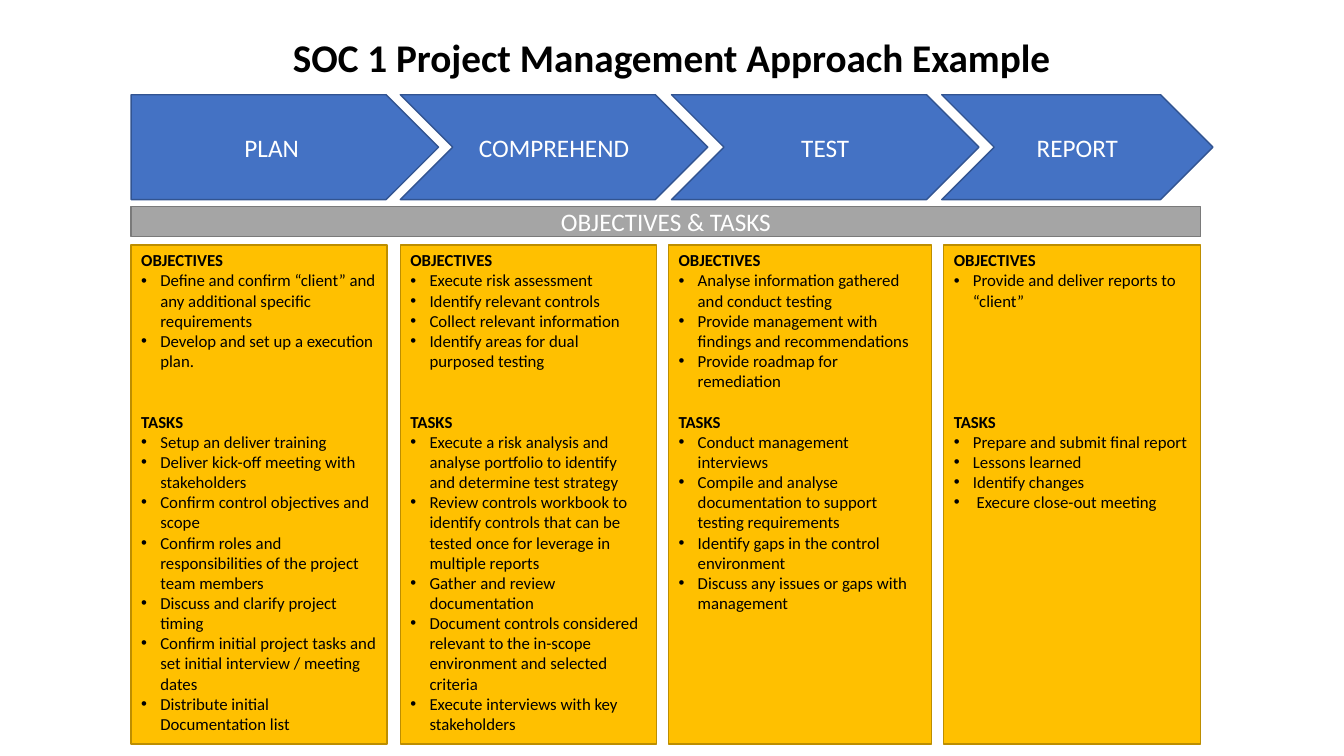
"""Build the SOC 1 project management approach slide."""
from dataclasses import dataclass

from lxml.etree import SubElement
from pptx import Presentation
from pptx.dml.color import RGBColor
from pptx.enum.shapes import MSO_SHAPE
from pptx.enum.text import MSO_ANCHOR, MSO_AUTO_SIZE, PP_ALIGN
from pptx.oxml.ns import qn
from pptx.util import Inches, Pt

COLORS = {
    "blue": "4472C4", "blue_line": "325491",
    "gray": "A5A5A5", "gray_line": "7A7A7A",
    "gold": "FFC000", "gold_line": "BD8E00",
    "white": "FFFFFF", "black": "000000",
}
FONT = "Calibri"
LINE_PT = 14.4
INDENT = 0.19
ARROW_TOP, ARROW_H = 0.94, 1.04
CARD_TOP, CARD_H = 2.43, 4.95


@dataclass
class Phase:
    """One project phase with its arrow and its card."""
    name: str
    arrow_left: float
    arrow_width: float
    card_left: float
    card_width: float
    gap_lines: int
    objectives: list[str]
    tasks: list[str]


PHASES = [
    Phase("PLAN", 1.3, 3.05, 1.3, 2.54, 2, [
        "Define and confirm “client” and any additional specific requirements",
        "Develop and set up a execution plan.",
    ], [
        "Setup an deliver training",
        "Deliver kick-off meeting with stakeholders",
        "Confirm control objectives and scope",
        "Confirm roles and responsibilities of the project team members",
        "Discuss and clarify project timing",
        "Confirm initial project tasks and set initial interview / meeting dates",
        "Distribute initial Documentation list",
    ]),
    Phase("COMPREHEND", 3.97, 3.05, 3.97, 2.54, 2, [
        "Execute risk assessment",
        "Identify relevant controls",
        "Collect relevant information",
        "Identify areas for dual purposed testing",
    ], [
        "Execute a risk analysis and analyse portfolio to identify and determine test strategy",
        "Review controls workbook to identify controls that can be tested once for leverage"
        " in multiple reports",
        "Gather and review documentation",
        "Document controls considered relevant to the in-scope environment and selected criteria",
        "Execute interviews with key stakeholders",
    ]),
    Phase("TEST", 6.66, 3.05, 6.63, 2.61, 1, [
        "Analyse information gathered and conduct testing",
        "Provide management with findings and recommendations",
        "Provide roadmap for remediation",
    ], [
        "Conduct management interviews",
        "Compile and analyse documentation to support testing requirements",
        "Identify gaps in the control environment",
        "Discuss any issues or gaps with management",
    ]),
    Phase("REPORT", 9.34, 2.69, 9.36, 2.55, 5, [
        "Provide and deliver reports to “client”",
    ], [
        "Prepare and submit final report",
        "Lessons learned",
        "Identify changes",
        " Execure close-out meeting",
    ]),
]


def rgb(name: str) -> RGBColor:
    """Return a named colour."""
    return RGBColor.from_string(COLORS[name])


def place(sp, left: float, top: float, width: float, height: float) -> None:
    """Move and size a shape, in inches."""
    sp.left, sp.top = Inches(left), Inches(top)
    sp.width, sp.height = Inches(width), Inches(height)


def paint(sp, color: str) -> None:
    """Fill a shape and outline it with the matching darker colour."""
    sp.fill.solid()
    sp.fill.fore_color.rgb = rgb(color)
    sp.line.color.rgb = rgb(f"{color}_line")
    sp.line.width = Pt(1)


def write(p, text: str, *, size: float = 12, color: str = "black", bold: bool = False,
          align=PP_ALIGN.LEFT, before: float = 0, bullet: bool = False) -> None:
    """Write one formatted paragraph."""
    p.alignment = align
    p.space_before = Pt(before)
    r = p.add_run()
    r.text = text
    r.font.name, r.font.size, r.font.bold = FONT, Pt(size), bold
    r.font.color.rgb = rgb(color)
    pPr = p._p.get_or_add_pPr()
    indent = Inches(INDENT) if bullet else 0
    pPr.set("marL", str(indent))
    pPr.set("indent", str(-indent))
    if bullet:
        SubElement(pPr, qn("a:buFont"), typeface="Arial")
        SubElement(pPr, qn("a:buChar"), char="•")
    else:
        SubElement(pPr, qn("a:buNone"))


def add_banner(s, kind, text: str, box: tuple[float, float, float, float], color: str) -> None:
    """Add a coloured shape with a centred white label."""
    sp = s.shapes.add_shape(kind, *map(Inches, box))
    sp.shadow.inherit = False
    paint(sp, color)
    sp.text_frame.vertical_anchor = MSO_ANCHOR.MIDDLE
    write(sp.text_frame.paragraphs[0], text, size=18, color="white", align=PP_ALIGN.CENTER)


def fill_card(sp, phase: Phase) -> None:
    """Turn a body placeholder into the card of a phase."""
    place(sp, phase.card_left, CARD_TOP, phase.card_width, CARD_H)
    paint(sp, "gold")
    tf = sp.text_frame
    tf.vertical_anchor = MSO_ANCHOR.TOP
    tf.auto_size = MSO_AUTO_SIZE.NONE
    write(tf.paragraphs[0], "OBJECTIVES", bold=True)
    for item in phase.objectives:
        write(tf.add_paragraph(), item, bullet=True)
    write(tf.add_paragraph(), "TASKS", bold=True, before=phase.gap_lines * LINE_PT)
    for item in phase.tasks:
        write(tf.add_paragraph(), item, bullet=True)


def main() -> None:
    """Build and save the slide."""
    prs = Presentation()
    prs.slide_width, prs.slide_height = Inches(13.33), Inches(7.5)
    s = prs.slides.add_slide(prs.slide_layouts.get_by_name("Comparison"))

    title = s.shapes.title
    place(title, 2.76, 0.28, 7.8, 0.57)
    tf = title.text_frame
    tf.auto_size, tf.word_wrap = MSO_AUTO_SIZE.NONE, False
    tf.vertical_anchor = MSO_ANCHOR.MIDDLE
    write(tf.paragraphs[0], "SOC 1 Project Management Approach Example", size=28, bold=True,
          align=PP_ALIGN.CENTER)

    cards = [sp for sp in s.placeholders if sp.placeholder_format.idx > 0]
    for i, (card, phase) in enumerate(zip(cards, PHASES)):
        kind = MSO_SHAPE.CHEVRON if i else MSO_SHAPE.PENTAGON
        box = (phase.arrow_left, ARROW_TOP, phase.arrow_width, ARROW_H)
        add_banner(s, kind, phase.name, box, "blue")
        fill_card(card, phase)
    add_banner(s, MSO_SHAPE.RECTANGLE, "OBJECTIVES & TASKS", (1.3, 2.05, 10.61, 0.3), "gray")

    prs.save("out.pptx")


if __name__ == "__main__":
    main()
